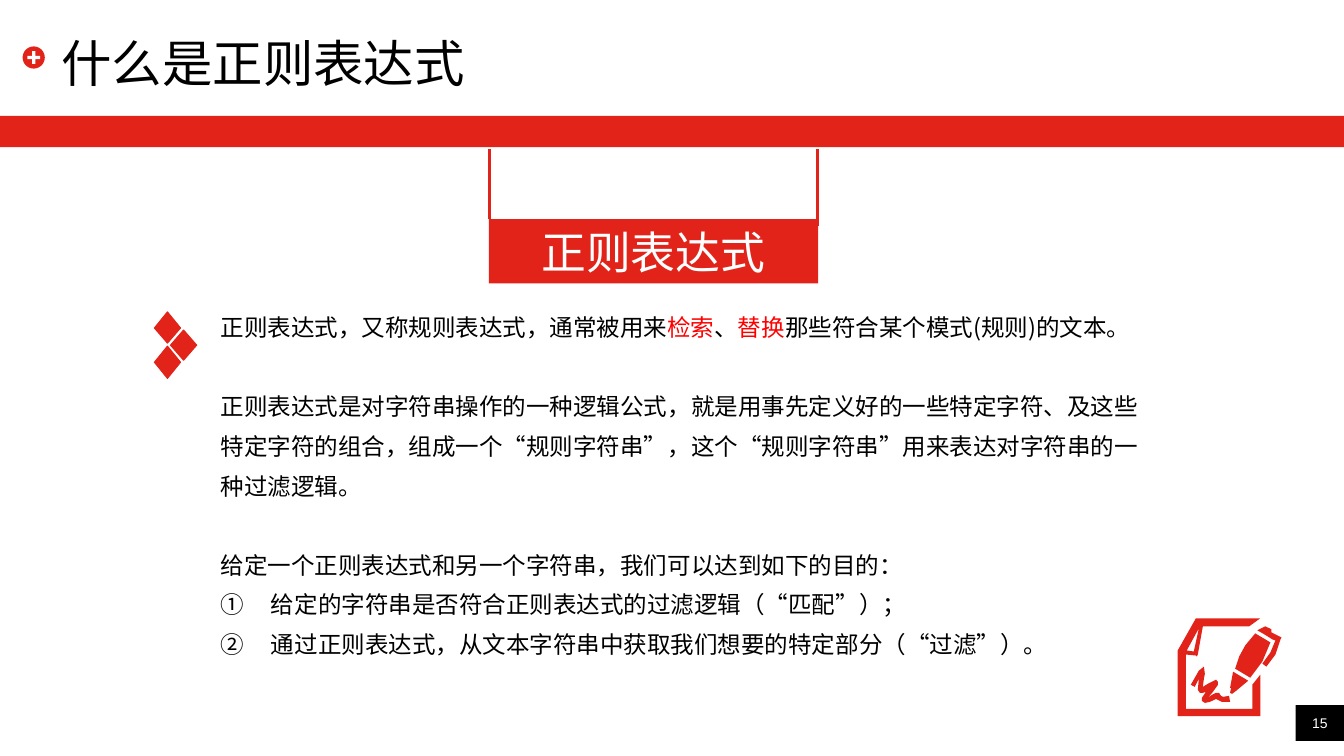
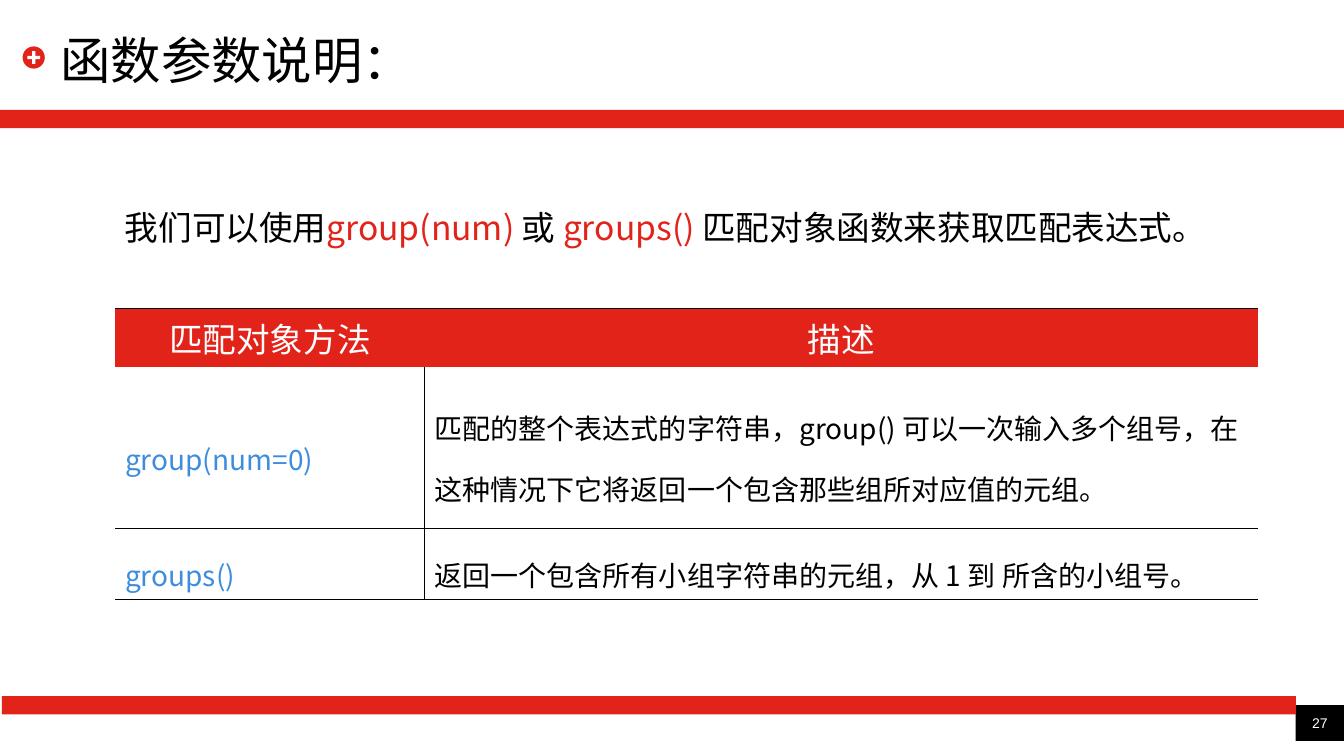
from lxml import etree
from pptx import Presentation
from pptx.dml.color import RGBColor
from pptx.enum.shapes import MSO_CONNECTOR, MSO_SHAPE
from pptx.enum.text import MSO_ANCHOR, PP_ALIGN
from pptx.oxml.ns import qn
from pptx.util import Cm, Pt

RECT, OVAL, CROSS = MSO_SHAPE.RECTANGLE, MSO_SHAPE.OVAL, MSO_SHAPE.CROSS
STRAIGHT = MSO_CONNECTOR.STRAIGHT
TOP, MIDDLE = MSO_ANCHOR.TOP, MSO_ANCHOR.MIDDLE
LEFT, CENTER = PP_ALIGN.LEFT, PP_ALIGN.CENTER

RED = RGBColor(0xE2, 0x23, 0x1A)
KEYWORD_RED = RGBColor(0xFF, 0x00, 0x00)
BLUE = RGBColor(0x3E, 0x8D, 0xDD)
BLACK = RGBColor(0x00, 0x00, 0x00)
WHITE = RGBColor(0xFF, 0xFF, 0xFF)

HEAD_FONT = "Arial"
BODY_FONT = "Noto Sans CJK SC"
SLIDE_W, SLIDE_H = 33.87, 19.05
BODY_SIZE = 16.8
BODY_LINE = 28.2  # height of one body line in points

# Icon outlines, in hundredths of an inch
DIAMONDS = [[(x, y - 15.5), (x + 13, y), (x, y + 15.5), (x - 13, y)]
            for x, y in ((13, 15.5), (29, 33), (13, 50))]
PAPER_AND_PEN = [
    # sheet
    [(20, 0), (82, 0), (71, 8), (25, 8), (20, 36), (19, 38), (18, 37), (8, 36),
     (8, 90), (74, 90), (74, 66), (82, 56), (82, 97), (0, 97), (0, 32),
     (17, 2), (18, 0)],
    # folded corner
    [(21, 10), (9, 32), (16, 33)],
    # scribble
    [(13, 66), (17, 68), (21, 60), (20, 71), (22, 74), (25, 74), (28, 73),
     (24, 79), (24, 82), (27, 84), (32, 83), (38, 80), (44, 83), (52, 83),
     (51, 77), (45, 78), (43, 77), (41, 74), (38, 74), (34, 76), (30, 79),
     (35, 73), (40, 66), (40, 63), (38, 61), (30, 65), (25, 68), (26, 60),
     (27, 55), (26, 48), (21, 52)],
    # nib
    [(55, 53), (52, 69), (53, 69), (52, 74), (54, 75), (58, 72), (70, 62)],
    # clip
    [(93, 14), (93, 11), (87, 8), (79, 12), (86, 16), (94, 21), (97, 22),
     (92, 34), (84, 45), (88, 48), (97, 36), (102, 21), (103, 19), (101, 18)],
    # barrel
    [(77, 15), (67, 27), (61, 38), (57, 50), (72, 59), (84, 43), (92, 24)],
]


def add_runs(paragraph, runs, size, font=BODY_FONT):
    """Add (text, colour) runs in one size and font."""
    for text, color in runs:
        run = paragraph.add_run()
        run.text = text
        run.font.size = Pt(size)
        run.font.bold = False
        run.font.name = font
        run.font.color.rgb = color
        east_asian = etree.SubElement(run.font._element, qn("a:ea"))
        east_asian.set("typeface", BODY_FONT)


def set_frame(frame, anchor, inset=None):
    frame.word_wrap = True
    frame.vertical_anchor = anchor
    if inset is not None:
        frame.margin_left = frame.margin_right = Cm(inset)
        frame.margin_top = frame.margin_bottom = Cm(inset)


def add_text(slide, box, runs, size, font=BODY_FONT, anchor=TOP, inset=None):
    frame = slide.shapes.add_textbox(*map(Cm, box)).text_frame
    set_frame(frame, anchor, inset)
    add_runs(frame.paragraphs[0], runs, size, font)
    return frame


def paint(shape, color):
    shape.shadow.inherit = False
    shape.fill.solid()
    shape.fill.fore_color.rgb = color
    shape.line.fill.background()


def add_block(slide, kind, box, color):
    block = slide.shapes.add_shape(kind, *map(Cm, box))
    paint(block, color)
    return block


def add_label(slide, box, color, text, size):
    """A filled rectangle with white centred text."""
    frame = add_block(slide, RECT, box, color).text_frame
    set_frame(frame, MIDDLE, 0)
    frame.paragraphs[0].alignment = CENTER
    add_runs(frame.paragraphs[0], [(text, WHITE)], size, HEAD_FONT)


def add_cord(slide, x, top, bottom):
    cord = slide.shapes.add_connector(STRAIGHT, Cm(x), Cm(top), Cm(x), Cm(bottom))
    cord.line.color.rgb = RED
    cord.line.width = Pt(2)
    etree.SubElement(cord._element.spPr, qn("a:effectLst"))


def add_icon(slide, outlines, left, top):
    """Draw closed outlines as one red shape."""
    builder = slide.shapes.build_freeform(*outlines[0][0], scale=Cm(2.54) / 100)
    for index, outline in enumerate(outlines):
        if index:
            builder.move_to(*outline[0])
        builder.add_line_segments(outline[1:], close=True)
    icon = builder.convert_to_shape(Cm(left), Cm(top))
    paint(icon, RED)
    return icon


def add_numbering(paragraph):
    props = paragraph._p.get_or_add_pPr()
    props.set("marL", str(Cm(1.27)))
    props.set("indent", str(-Cm(1.27)))
    etree.SubElement(props, qn("a:buFont")).set("typeface", BODY_FONT)
    etree.SubElement(props, qn("a:buAutoNum")).set("type", "circleNumDbPlain")


def set_borders(cell, edges):
    """Black 1 pt lines on the given edges (L, R, T, B), none elsewhere."""
    props = cell._tc.get_or_add_tcPr()
    for position, edge in enumerate("LRTB"):
        line = etree.Element(qn("a:ln" + edge))
        if edge in edges:
            line.set("w", str(Pt(1)))
            fill = etree.SubElement(line, qn("a:solidFill"))
            etree.SubElement(fill, qn("a:srgbClr")).set("val", str(BLACK))
        else:
            etree.SubElement(line, qn("a:noFill"))
        props.insert(position, line)


def fill_cell(cell, text, color, background, size, edges, align=LEFT, spacing=1.0):
    cell.fill.solid()
    cell.fill.fore_color.rgb = background
    cell.vertical_anchor = MIDDLE
    paragraph = cell.text_frame.paragraphs[0]
    paragraph.alignment = align
    paragraph.line_spacing = spacing
    add_runs(paragraph, [(text, color)], size)
    set_borders(cell, edges)


def add_method_table(slide, header, rows, left, top, widths, heights):
    table = slide.shapes.add_table(
        len(heights), len(widths), Cm(left), Cm(top),
        Cm(sum(widths)), Cm(sum(heights))).table
    table.first_row = table.horz_banding = False
    for column, width in zip(table.columns, widths):
        column.width = Cm(width)
    for row, height in zip(table.rows, heights):
        row.height = Cm(height)
    for c, text in enumerate(header):
        fill_cell(table.cell(0, c), text, WHITE, RED, 24, "T", CENTER)
    for r, (method, description) in enumerate(rows, start=1):
        above = "T" if r > 1 else ""
        fill_cell(table.cell(r, 0), method, BLUE, WHITE, 20, "RB" + above, spacing=1.5)
        fill_cell(table.cell(r, 1), description, BLACK, WHITE, 20, "LB" + above,
                  spacing=1.5)


def start_slide(prs, title, title_at, band_top, band_height, number):
    """Blank slide with page number, title badge, title and top band."""
    slide = prs.slides.add_slide(prs.slide_layouts[6])
    add_label(slide, (32.65, 17.77, 1.22, 0.9), BLACK, number, 10)
    add_block(slide, OVAL, (0.57, 1.17, 0.56, 0.56), RED)
    plus = add_block(slide, CROSS, (0.69, 1.29, 0.32, 0.32), WHITE)
    plus.adjustments[0] = 0.37
    add_text(slide, (*title_at, 30.76, 1.45), [(title, BLACK)], 36, HEAD_FONT,
             MIDDLE, 0)
    add_block(slide, RECT, (0, band_top, SLIDE_W, band_height), RED)
    return slide


def build_definition_slide(prs):
    slide = start_slide(prs, "什么是正则表达式", (1.55, 0.84), 2.92, 0.79, "15")

    # Hanging sign
    add_label(slide, (12.32, 5.52, 8.3, 1.62), RED, "正则表达式", 32)
    add_cord(slide, 12.34, 3.76, 5.51)
    add_cord(slide, 20.6, 3.76, 5.7)

    # Diamond marker
    marker = add_icon(slide, DIAMONDS, 3.89, 7.86)
    marker.line.color.rgb = RED
    marker.line.width = Pt(0.75)

    # Explanation: (runs, starts a new section, numbered)
    explanation = [
        ([("正则表达式，又称规则表达式，通常被用来", BLACK), ("检索", KEYWORD_RED),
          ("、", BLACK), ("替换", KEYWORD_RED),
          ("那些符合某个模式(规则)的文本。", BLACK)], False, False),
        ([("正则表达式是对字符串操作的一种逻辑公式，就是用事先定义好的一些特定字符、"
           "及这些特定字符的组合，组成一个“规则字符串”，这个“规则字符串”"
           "用来表达对字符串的一种过滤逻辑。", BLACK)], True, False),
        ([("给定一个正则表达式和另一个字符串，我们可以达到如下的目的：", BLACK)],
         True, False),
        ([("给定的字符串是否符合正则表达式的过滤逻辑（“匹配”）；", BLACK)],
         False, True),
        ([("通过正则表达式，从文本字符串中获取我们想要的特定部分（“过滤”）。", BLACK)],
         False, True),
    ]
    frame = add_text(slide, (5.31, 7.49, 23.98, 9.7), [], BODY_SIZE)
    for index, (runs, new_section, numbered) in enumerate(explanation):
        paragraph = frame.add_paragraph() if index else frame.paragraphs[0]
        paragraph.line_spacing = 1.4
        if new_section:
            paragraph.space_before = Pt(BODY_LINE)
        if numbered:
            add_numbering(paragraph)
        add_runs(paragraph, runs, BODY_SIZE)

    add_icon(slide, PAPER_AND_PEN, 29.68, 15.58)


def build_method_slide(prs):
    slide = start_slide(prs, "函数参数说明：", (1.52, 0.76), 2.77, 0.46, "27")

    # Method table
    add_method_table(
        slide, ("匹配对象方法", "描述"),
        [("group(num=0)", "匹配的整个表达式的字符串，group() 可以一次输入多个组号，"
          "在这种情况下它将返回一个包含那些组所对应值的元组。"),
         ("groups()", "返回一个包含所有小组字符串的元组，从 1 到 所含的小组号。")],
        2.9, 7.78, (7.8, 21), (1.48, 4.06, 1.79))

    # Lead sentence
    add_text(slide, (2.9, 5.09, 29.39, 1.27),
             [("我们可以使用", BLACK), ("group(num)", RED), (" 或 ", BLACK),
              ("groups()", RED), (" 匹配对象函数来获取匹配表达式。", BLACK)], 24)

    # Bottom band
    add_block(slide, RECT, (0.05, 17.54, 32.61, 0.46), RED)


def main():
    prs = Presentation()
    prs.slide_width, prs.slide_height = Cm(SLIDE_W), Cm(SLIDE_H)
    build_definition_slide(prs)
    build_method_slide(prs)
    prs.save("out.pptx")


if __name__ == "__main__":
    main()
